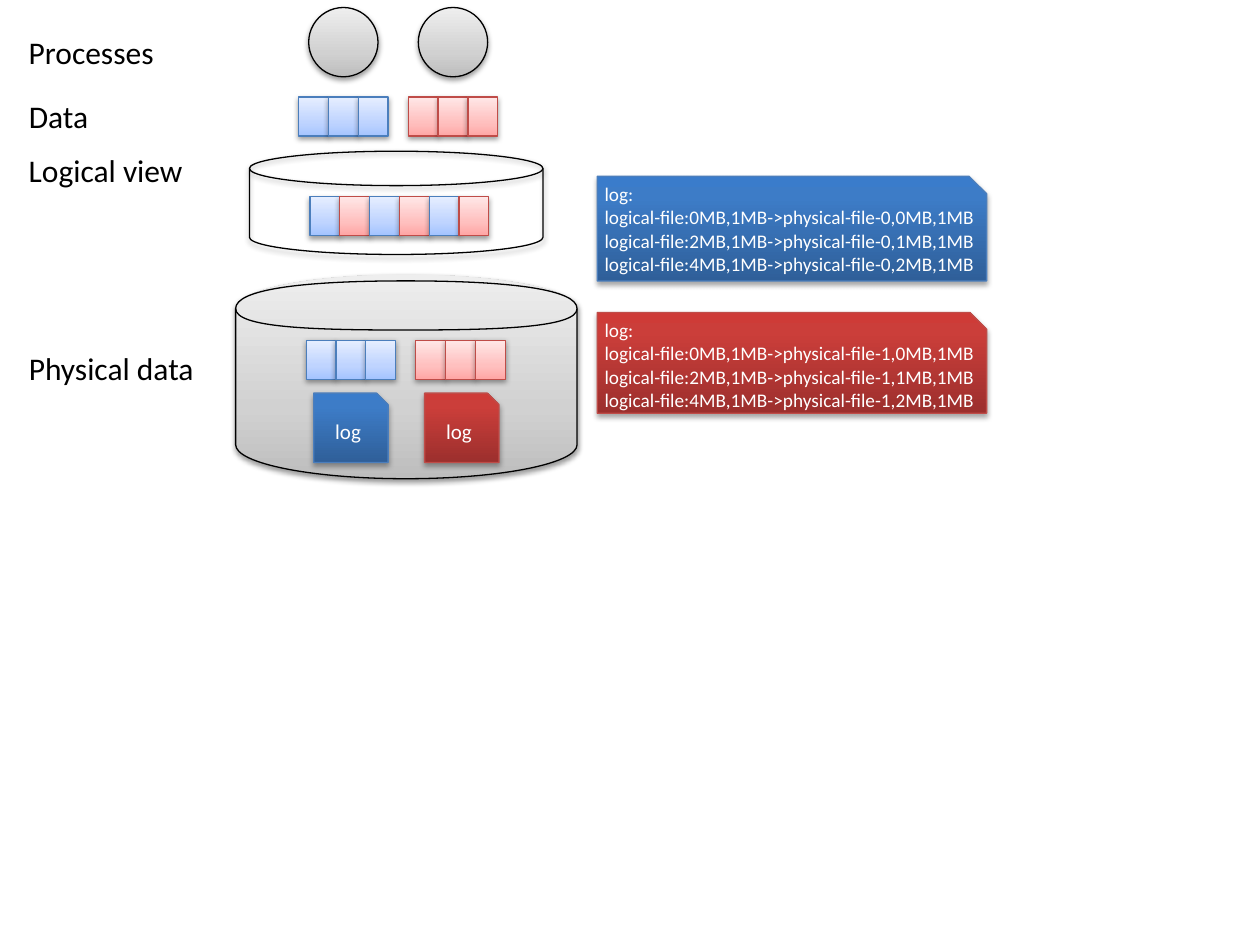
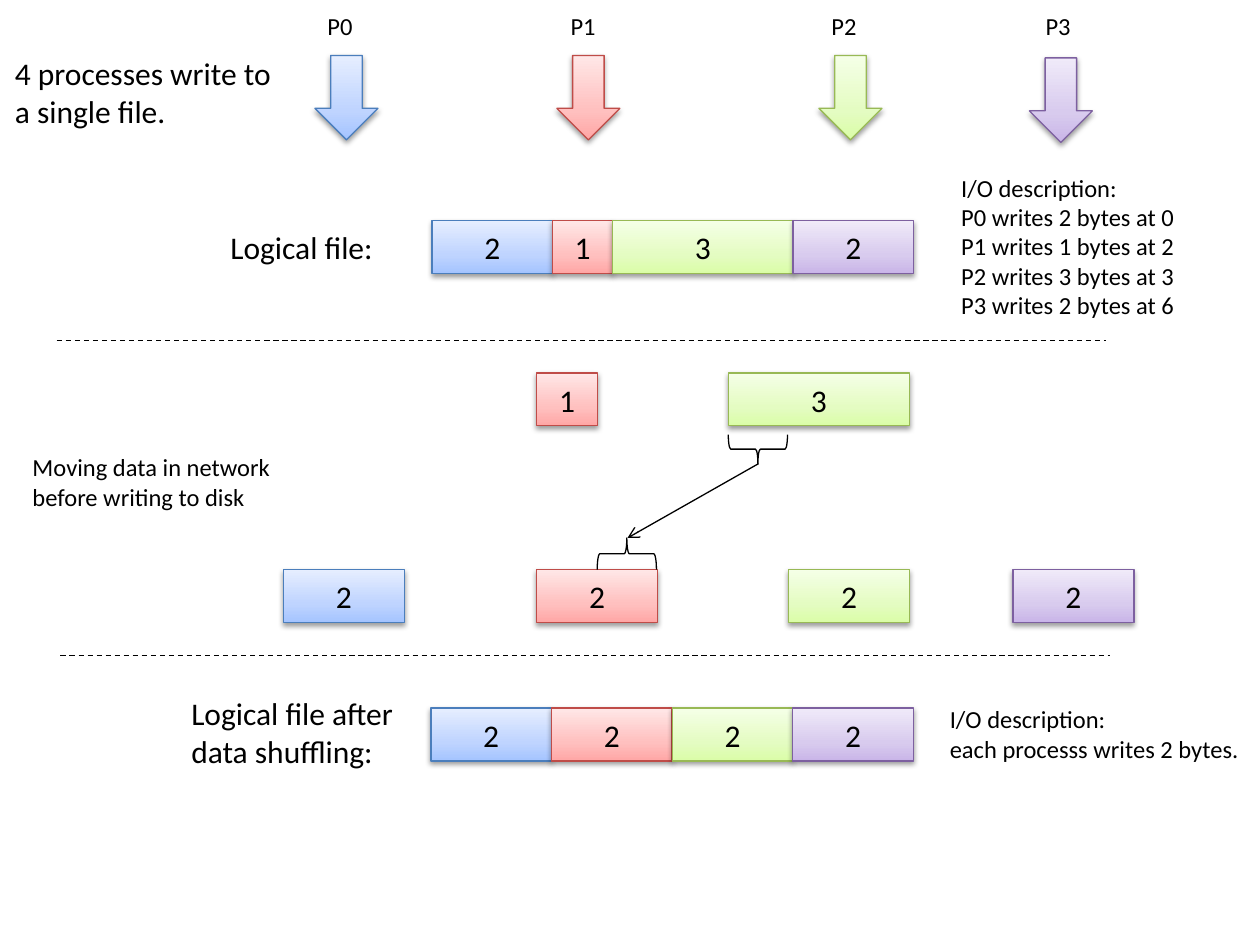
from copy import deepcopy

from lxml import etree
from pptx import Presentation
from pptx.dml.color import RGBColor
from pptx.enum.dml import MSO_LINE
from pptx.enum.shapes import MSO_CONNECTOR, MSO_SHAPE
from pptx.enum.text import MSO_ANCHOR, MSO_AUTO_SIZE, PP_ALIGN
from pptx.oxml.ns import qn
from pptx.util import Inches, Pt

RECT, OVAL = MSO_SHAPE.RECTANGLE, MSO_SHAPE.OVAL
SNIP, DISK = MSO_SHAPE.SNIP_1_RECTANGLE, MSO_SHAPE.FLOWCHART_MAGNETIC_DISK
ARROW, BRACE = MSO_SHAPE.DOWN_ARROW, MSO_SHAPE.RIGHT_BRACE
STRAIGHT, DASH = MSO_CONNECTOR.STRAIGHT, MSO_LINE.DASH
LEFT, CENTER = PP_ALIGN.LEFT, PP_ALIGN.CENTER
TOP, MIDDLE = MSO_ANCHOR.TOP, MSO_ANCHOR.MIDDLE
GROW = MSO_AUTO_SIZE.SHAPE_TO_FIT_TEXT

FONT = "Calibri"
BLACK = RGBColor(0, 0, 0)
WHITE = RGBColor(255, 255, 255)
BLUE_EDGE = RGBColor(0x4B, 0x7E, 0xBC)
RED_EDGE = RGBColor(0xBF, 0x4C, 0x48)
GREEN_EDGE = RGBColor(0x98, 0xB9, 0x55)
VIOLET_EDGE = RGBColor(0x7D, 0x60, 0xA0)
SOFT, DEEP = (1.6, 38), (1.8, 35)  # shadow distance in points, opacity in percent


def blend(edge, middle, shadow, *colors):
    """Line colour, gradient stops from bottom to top, and shadow."""
    return edge, list(zip((0, middle, 1), map(RGBColor.from_string, colors))), shadow


GRAY = blend(BLACK, 0.35, SOFT, "BDBDBD", "D1D1D1", "EEEEEE")
BLUE = blend(BLUE_EDGE, 0.35, SOFT, "A4C4FF", "BFD4FF", "E6EEFF")
RED = blend(RED_EDGE, 0.35, SOFT, "FFA6A5", "FFC0BF", "FFE7E7")
GREEN = blend(GREEN_EDGE, 0.35, SOFT, "DAFDA7", "E4FCC2", "F5FFE7")
VIOLET = blend(VIOLET_EDGE, 0.35, SOFT, "C9B5E8", "D8CBEE", "F0EAF9")
DARK_BLUE = blend(BLUE_EDGE, 0.8, DEEP, "2F5F99", "3D7CC7", "3A7CCB")
DARK_RED = blend(RED_EDGE, 0.8, DEEP, "9C2F2D", "CB3E3A", "CE3B37")
HOLLOW = (BLACK, [], SOFT)
BARE = (BLACK, [], None)

# Slide 1
LABELS = [
    ("Processes", 0.21, 1.2), ("Data", 0.72, 0.68),
    ("Logical view", 1.15, 1.44), ("Physical data", 2.72, 1.52),
]
CIRCLES = [2.45, 3.32]
CELL_W, CELL_H = 0.71 / 3, 0.31
TRIPLES = [(2.37, 0.77, BLUE), (3.24, 0.77, RED), (2.43, 2.7, BLUE), (3.3, 2.7, RED)]
LOGS = [(2.49, DARK_BLUE), (3.37, DARK_RED)]
NOTES = [(1.4, 0.83, DARK_BLUE), (2.48, 0.8, DARK_RED)]

# Drum outlines in hundredths of an inch from the corner of its box
DRUM_X, DRUM_Y, DRUM_W, DRUM_H = 1.87, 2.18, 2.71, 1.63
BASE = [("L", 271, 135), ("C", 271, 150, 210, 162, 135, 162),
        ("C", 61, 162, 0, 150, 0, 135), ("L", 0, 27), ("Z",)]
DRUM = [
    ({"stroke": "0"}, [("M", 0, 27), ("C", 0, 12, 61, 0, 135, 0),
                       ("C", 210, 0, 271, 12, 271, 27)] + BASE),
    ({"fill": "none"}, [("M", 271, 27), ("C", 271, 42, 209, 44, 135, 44),
                        ("C", 60, 44, 0, 42, 0, 27)]),
    ({"fill": "none"}, [("M", 0, 27), ("C", 0, 12, 51, 5, 135, 5),
                        ("C", 220, 5, 271, 12, 271, 27)] + BASE),
]
STEPS = {"M": "a:moveTo", "L": "a:lnTo", "C": "a:cubicBezTo", "Z": "a:close"}

# Slide 2
HUES = [BLUE, RED, GREEN, VIOLET]
ARROWS = [(2.5, 0.44, 2.5), (4.42, 0.44, 4.43), (6.5, 0.44, 6.5), (8.17, 0.46, 8.2)]
BYTE, BAR_H, FILE_END = 0.48, 0.42, 7.25
FILES = [(3.43, 1.75, [2, 1, 3, 2]), (3.42, 5.62, [2, 2, 2, 2])]
MOVED = [
    (4.26, 2.96, 1, RED), (5.78, 2.96, 3, GREEN),
    (2.25, 4.52, 2, BLUE), (4.26, 4.52, 2, RED),
    (6.26, 4.52, 2, GREEN), (8.04, 4.52, 2, VIOLET),
]
BRACES = [(5.9, 3.33, 0.23, 90), (4.85, 4.16, 0.25, 270)]
RULES = [(0.45, 2.7), (0.48, 5.2)]
RULE_W = 8.33
TEXTS = [
    ((7.44, 5.54, 2.56, 0.57), 14, ["I/O description:", "each processs writes 2 bytes."]),
    ((0.02, 0.38, 2.3, 0.71), 18, ["4 processes write to a single file."]),
    ((1.73, 1.76, 1.48, 0.4), 18, ["Logical file:"]),
    ((0.16, 3.54, 2.3, 0.57), 14, ["Moving data in network before writing to disk"]),
    ((7.53, 1.32, 1.98, 1.28), 14, [
        "I/O description:", "P0 writes 2 bytes at 0", "P1 writes 1 bytes at 2",
        "P2 writes 3 bytes at 3", "P3 writes 2 bytes at 6"]),
    ((1.42, 5.46, 2.3, 0.71), 18, ["Logical file after data shuffling:"]),
]


def write(shape, lines, size=18, color=BLACK, align=LEFT, anchor=TOP, wrap=True):
    frame = shape.text_frame
    frame.word_wrap, frame.vertical_anchor = wrap, anchor
    frame.text = "\n".join(lines)
    for para in frame.paragraphs:
        para.alignment = align
        for run in para.runs:
            run.font.size, run.font.name = Pt(size), FONT
            run.font.color.rgb = color


def label(slide, box, lines, **form):
    shape = slide.shapes.add_textbox(*map(Inches, box))
    write(shape, lines, **form)
    shape.text_frame.auto_size = GROW


def paint(shape, style):
    """Set the gradient, line and shadow of a shape."""
    edge, stops, shadow = style
    if stops:
        shape.fill.gradient()
        shape.fill.gradient_angle = 90
        last = shape.element.findall(".//" + qn("a:gs"))[-1]
        last.addprevious(deepcopy(last))
        for stop, (place, tint) in zip(shape.fill.gradient_stops, stops):
            stop.position, stop.color.rgb = place, tint
    else:
        shape.fill.background()
    shape.line.color.rgb, shape.line.width = edge, Pt(0.75)
    shape.shadow.inherit = False
    if shadow:
        far, dark = shadow
        effects = shape.element.spPr.find(qn("a:effectLst"))
        outer = etree.SubElement(
            effects, qn("a:outerShdw"), blurRad=str(Pt(3.1)), dist=str(Pt(far)),
            dir="5400000", rotWithShape="0")
        black = etree.SubElement(outer, qn("a:srgbClr"), val="000000")
        etree.SubElement(black, qn("a:alpha"), val=str(dark * 1000))


def block(slide, kind, box, style):
    shape = slide.shapes.add_shape(kind, *map(Inches, box))
    paint(shape, style)
    return shape


def cells(parent, x, y, hues):
    for i, hue in enumerate(hues):
        block(parent, RECT, (x + i * CELL_W, y, CELL_W, CELL_H), hue)


def bar(slide, x, y, size, hue, unit=BYTE):
    """Box as wide as its number of bytes."""
    shape = block(slide, RECT, (x, y, size * unit, BAR_H), hue)
    write(shape, [str(size)], align=CENTER, anchor=MIDDLE)


def line(slide, start, end):
    link = slide.shapes.add_connector(STRAIGHT, *map(Inches, start + end))
    link.line.color.rgb, link.line.width = BLACK, Pt(0.75)
    etree.SubElement(link.element.spPr, qn("a:effectLst"))
    return link


def drum(slide):
    """Cylinder with curved outlines: a body, the front of its lid and its rim."""
    pen = slide.shapes.build_freeform(0, 0, scale=Inches(0.01))
    width, height = round(DRUM_W * 100), round(DRUM_H * 100)
    pen.add_line_segments([(width, 0), (width, height)])
    shape = pen.convert_to_shape(Inches(DRUM_X), Inches(DRUM_Y))
    outlines = shape.element.spPr.find(".//" + qn("a:pathLst"))
    outlines.clear()
    for look, steps in DRUM:
        outline = etree.SubElement(
            outlines, qn("a:path"), w=str(width), h=str(height), **look)
        for kind, *spots in steps:
            step = etree.SubElement(outline, qn(STEPS[kind]))
            for x, y in zip(spots[::2], spots[1::2]):
                etree.SubElement(step, qn("a:pt"), x=str(x), y=str(y))
    paint(shape, GRAY)


def draw_logs(slide):
    for x in CIRCLES:
        block(slide, OVAL, (x, 0.06, 0.55, 0.55), GRAY)
    block(slide, DISK, (1.98, 1.2, 2.33, 0.82), HOLLOW)
    drum(slide)
    for x, y, hue in TRIPLES:
        cells(slide.shapes.add_group_shape(), x, y, [hue] * 3)
    cells(slide, 2.46, 1.56, [BLUE, RED] * 3)
    for text, y, width in LABELS:
        label(slide, (0.13, y, width, 0.4), [text], wrap=False)
    for x, hue in LOGS:
        shape = block(slide, SNIP, (x, 3.12, 0.59, 0.55), hue)
        write(shape, ["log"], size=12, color=WHITE, align=CENTER, anchor=MIDDLE)
    for n, (y, height, hue) in enumerate(NOTES):
        block(slide, SNIP, (4.74, y, 3.09, height), hue)
        rows = [f"logical-file:{2 * i}MB,1MB->physical-file-{n},{i}MB,1MB" for i in range(3)]
        label(slide, (4.7, y, 3.17, 0.84), ["log:"] + rows, size=11, color=WHITE, wrap=False)


def draw_shuffle(slide):
    for (x, y, _), hue in zip(ARROWS, HUES):
        block(slide, ARROW, (x, y, 0.5, 0.67), hue)
    for x, y, sizes in FILES:
        unit = (FILE_END - x) / sum(sizes)
        for i, (size, hue) in enumerate(zip(sizes, HUES)):
            bar(slide, x + sum(sizes[:i]) * unit, y, size, hue, unit)
    for part in MOVED:
        bar(slide, *part)
    for x, y, width, turn in BRACES:
        block(slide, BRACE, (x, y, width, 0.47), BARE).rotation = turn
    move = line(slide, (6.02, 3.68), (4.98, 4.27))
    etree.SubElement(move.element.spPr.find(qn("a:ln")), qn("a:tailEnd"), type="arrow")
    for x, y in RULES:
        line(slide, (x, y), (x + RULE_W, y)).line.dash_style = DASH
    for box, size, lines in TEXTS:
        label(slide, box, lines, size=size)
    for i, (_, _, x) in enumerate(ARROWS):
        label(slide, (x, 0.04, 0.55, 0.34), [f"P{i}"], size=14)


def main():
    deck = Presentation()
    deck.slide_width, deck.slide_height = Inches(10), Inches(7.5)
    for draw in (draw_logs, draw_shuffle):
        draw(deck.slides.add_slide(deck.slide_layouts[6]))
    deck.save("out.pptx")


if __name__ == "__main__":
    main()
